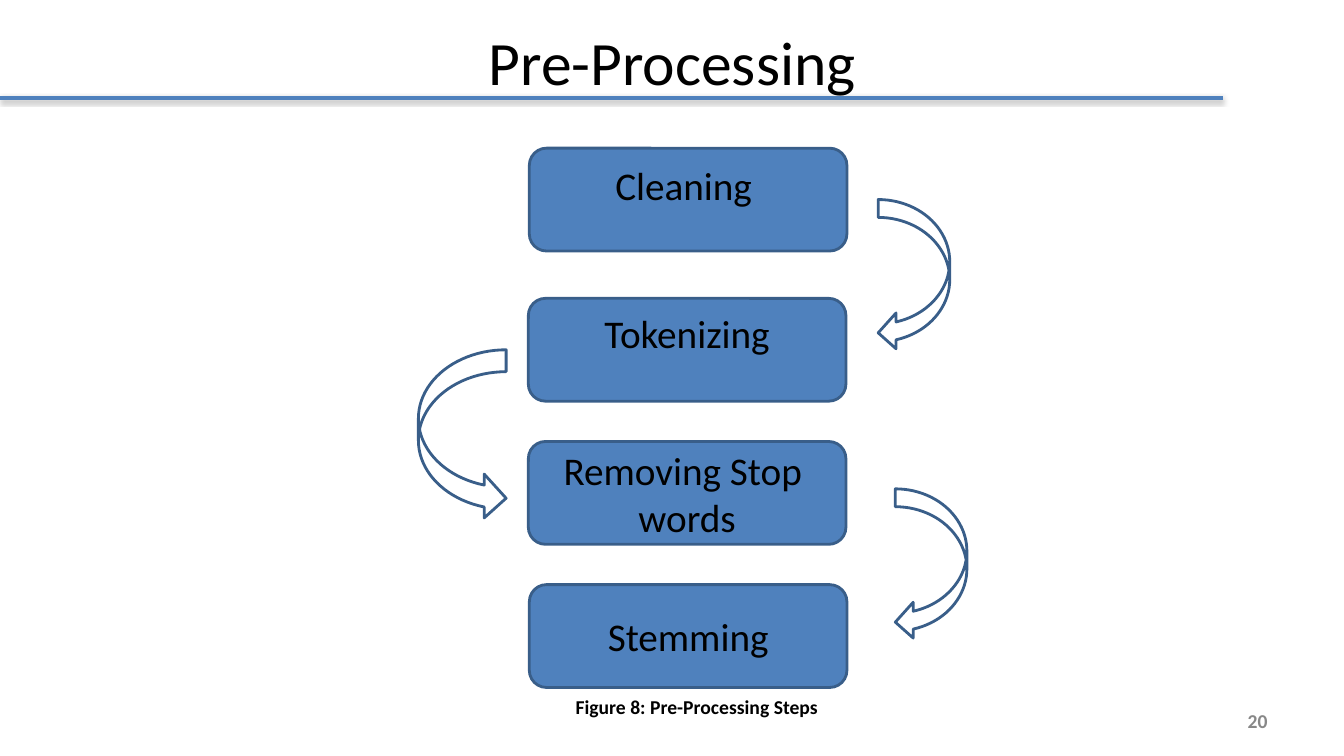
"""Builds the Pre-Processing slide: four steps joined by curved arrows."""
from typing import NamedTuple

from lxml.etree import SubElement
from pptx import Presentation
from pptx.dml.color import RGBColor
from pptx.enum.shapes import MSO_CONNECTOR as Connector, MSO_SHAPE as Preset
from pptx.enum.text import MSO_ANCHOR as Anchor, PP_ALIGN as Align
from pptx.oxml.ns import qn
from pptx.util import Inches, Pt

BLUE, OUTLINE, BLACK, GRAY = "4F81BD", "395E89", "000000", "888888"
STEP_WIDTH, STEP_HEIGHT = 3.15, 1.02


class Label(NamedTuple):
    """A free-standing text with its box in inches."""
    text: str
    left: float
    top: float
    width: float
    height: float
    size: int
    color: str = BLACK
    bold: bool = False
    align: Align = Align.CENTER
    anchor: Anchor = Anchor.MIDDLE


class Step(NamedTuple):
    """A processing step; lift is the room kept free below its text."""
    text: str
    left: float
    top: float
    lift: float = 0.05


class Turn(NamedTuple):
    """A curved arrow from one step to the next."""
    preset: Preset
    left: float
    top: float
    width: float
    height: float


LABELS = [
    Label("Pre-Processing", 0.67, -0.02, 12, 1.25, 44),
    Label("20", 9.56, 6.95, 3.11, 0.4, 14, GRAY, True, Align.RIGHT),
    Label("Figure 8: Pre-Processing Steps", 5.61, 6.84, 2.68, 0.42, 14,
          bold=True, align=Align.LEFT, anchor=Anchor.TOP),
]
STEPS = [
    Step("Cleaning ", 5.25, 1.47, 0.35),
    Step("Tokenizing", 5.24, 2.96, 0.39),
    Step("Removing Stop \nwords", 5.24, 4.38),
    Step("Stemming", 5.25, 5.8),
]
TURNS = [
    Turn(Preset.CURVED_LEFT_ARROW, 8.71, 1.98, 0.71, 1.5),
    Turn(Preset.CURVED_RIGHT_ARROW, 4.15, 3.47, 0.87, 1.69),
    Turn(Preset.CURVED_LEFT_ARROW, 8.88, 4.85, 0.71, 1.5),
]


def rgb(color: str) -> RGBColor:
    """Turn a hex string into a colour."""
    return RGBColor.from_string(color)


def write(frame, text: str, size: int, color: str = BLACK, bold: bool = False,
          align: Align = Align.CENTER, anchor: Anchor = Anchor.MIDDLE) -> None:
    """Fill a text frame with evenly formatted paragraphs."""
    frame.text = text
    frame.word_wrap = True
    frame.vertical_anchor = anchor
    font_format = {"name": "Calibri", "size": Pt(size), "bold": bold}
    for paragraph in frame.paragraphs:
        paragraph.alignment = align
        for run in paragraph.runs:
            for attribute, value in font_format.items():
                setattr(run.font, attribute, value)
            run.font.color.rgb = rgb(color)


def draw_label(slide, label: Label) -> None:
    """Add a free-standing text."""
    box = slide.shapes.add_textbox(*map(Inches, label[1:5]))
    write(box.text_frame, label.text, *label[5:])


def add_outlined(slide, preset: Preset, *bounds: float):
    """Add a preset shape with the common outline and no shadow."""
    shape = slide.shapes.add_shape(preset, *map(Inches, bounds))
    shape.shadow.inherit = False
    shape.line.color.rgb = rgb(OUTLINE)
    shape.line.width = Pt(2)
    return shape


def draw_step(slide, step: Step) -> None:
    """Add a rounded box holding a step."""
    box = add_outlined(slide, Preset.ROUNDED_RECTANGLE, step.left, step.top,
                       STEP_WIDTH, STEP_HEIGHT)
    box.fill.solid()
    box.fill.fore_color.rgb = rgb(BLUE)
    write(box.text_frame, step.text, 28)
    box.text_frame.margin_bottom = Inches(step.lift)


def draw_turn(slide, turn: Turn) -> None:
    """Add an unfilled curved arrow."""
    add_outlined(slide, *turn).fill.background()


def draw_title_rule(slide) -> None:
    """Add the line under the title with its soft shadow."""
    rule = slide.shapes.add_connector(
        Connector.STRAIGHT, *map(Inches, (0, 0.97, 12.13, 0.97)))
    rule.line.color.rgb = rgb(BLUE)
    rule.line.width = Pt(3)
    effects = SubElement(rule.line._get_or_add_ln().getparent(), qn("a:effectLst"))
    shadow = SubElement(effects, qn("a:outerShdw"), blurRad=str(Pt(3.1)),
                        dist=str(Pt(1.8)), dir="5400000", rotWithShape="0")
    tint = SubElement(shadow, qn("a:srgbClr"), val=BLACK)
    SubElement(tint, qn("a:alpha"), val="35000")


def main() -> None:
    """Build and save the slide."""
    deck = Presentation()
    deck.slide_width, deck.slide_height = Inches(13.33), Inches(7.5)
    slide = deck.slides.add_slide(deck.slide_layouts[6])
    draw_title_rule(slide)
    for draw, parts in ((draw_step, STEPS), (draw_turn, TURNS), (draw_label, LABELS)):
        for part in parts:
            draw(slide, part)
    deck.save("out.pptx")


main()
